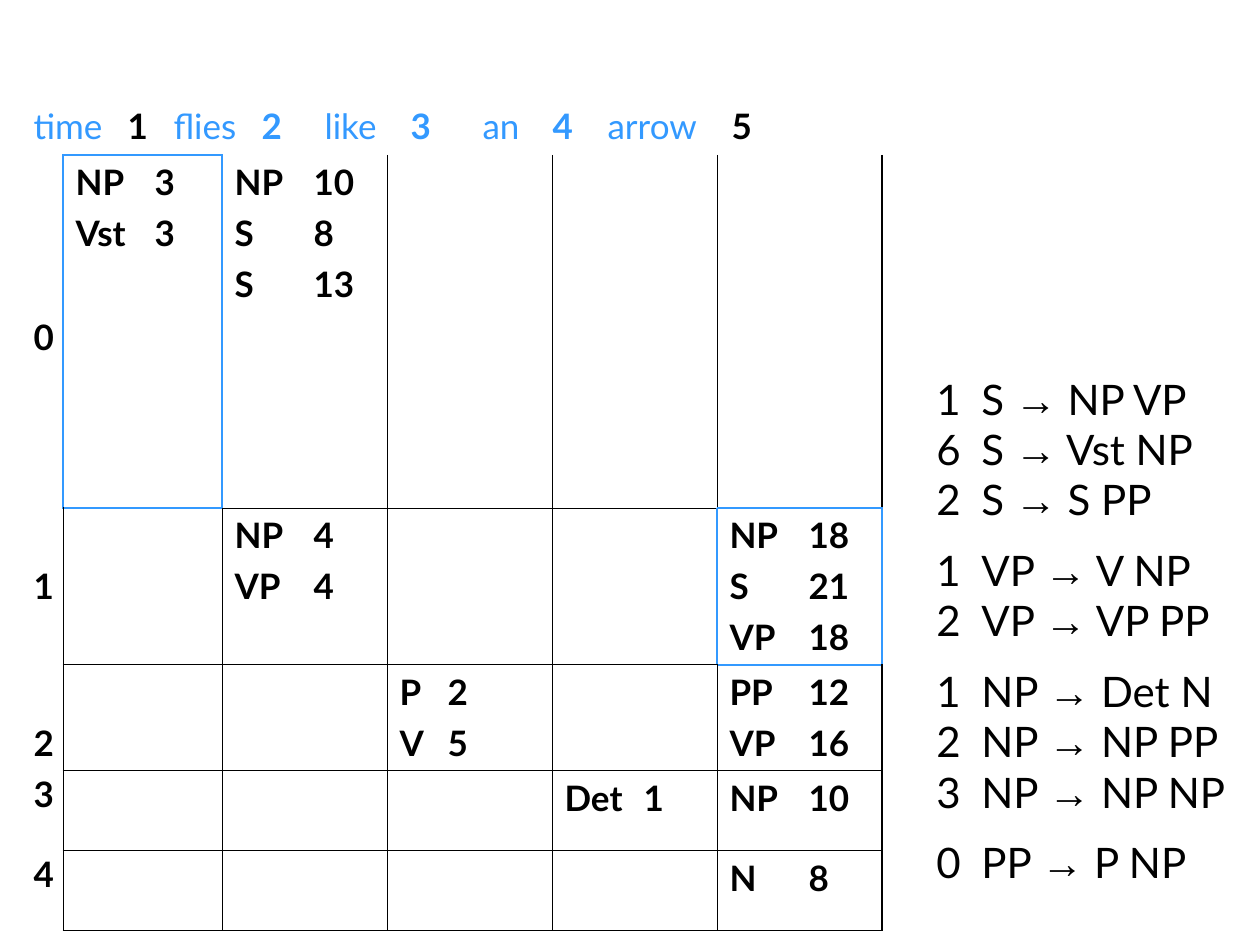
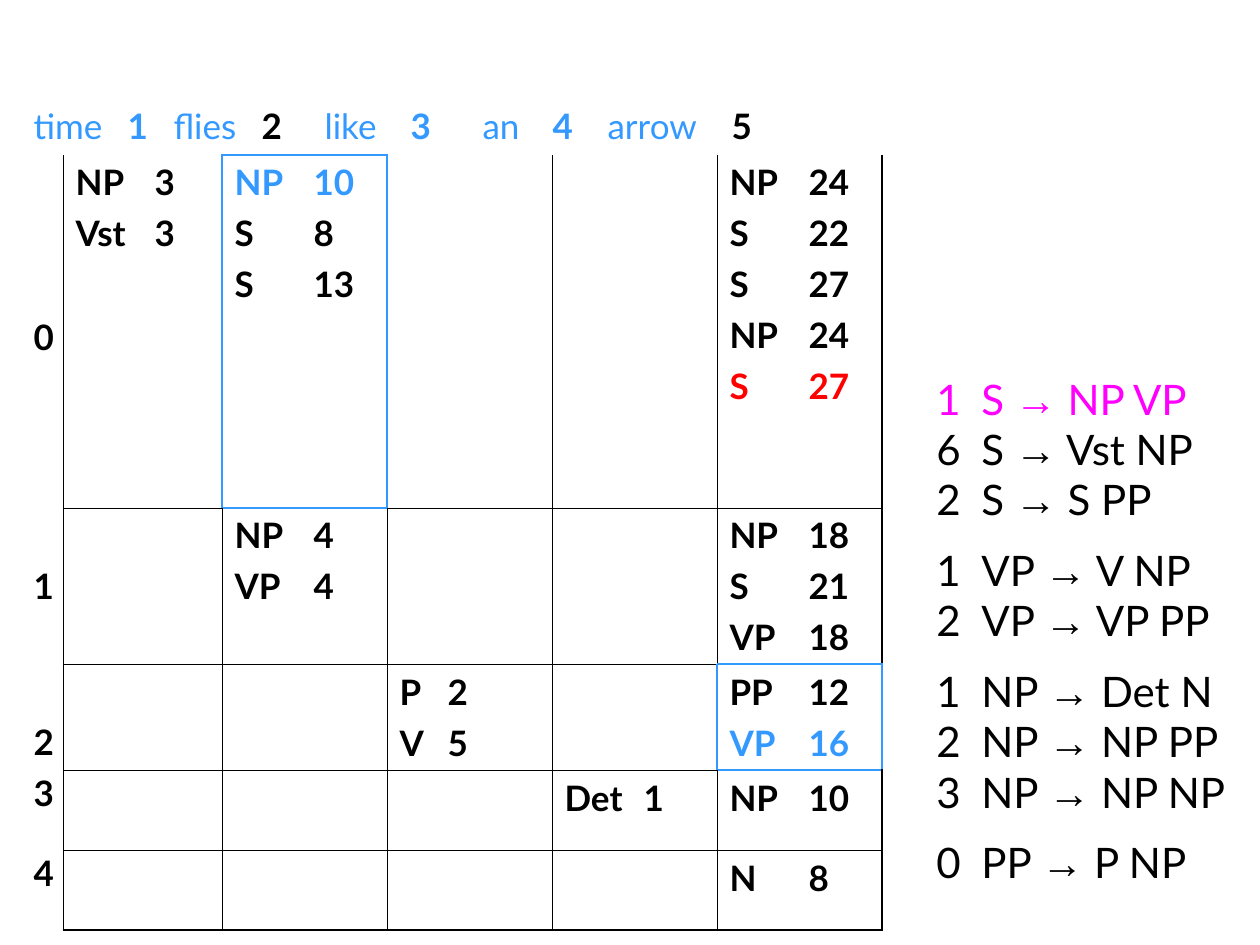
from lxml import etree
from pptx import Presentation
from pptx.dml.color import RGBColor
from pptx.enum.text import PP_ALIGN
from pptx.oxml.ns import qn
from pptx.util import Pt

CENTER = PP_ALIGN.CENTER
BLACK = RGBColor(0x00, 0x00, 0x00)
BLUE = RGBColor(0x33, 0x99, 0xFF)
RED = RGBColor(0xFF, 0x00, 0x00)
MAGENTA = RGBColor(0xFF, 0x00, 0xFF)
PX = 914400 / 126
THIN, THICK = Pt(0.45), Pt(1.08)
NO_STYLE = "{2D5ABB26-0587-4C30-8999-92F81FD0307C}"

# Shared geometry, in px
COL_WIDTHS = [42, 159] + [165] * 4
ROW_HEIGHTS = [56, 353, 156, 106, 80, 80]
WORDS = ["time", "flies", "like", "an", "arrow"]
WORD_TABS = [94, 140, 228, 291, 377, 449, 519, 574, 698]
LABEL_SPACING = [4.65, 2.2, 2.2, 0.9, 0.9]
SIDES = {"lnL": (0, -1), "lnR": (0, 1), "lnT": (-1, 0), "lnB": (1, 0)}

# Entries by (start row, end column)
CHART = {
    (1, 1): ["NP\t3", "Vst\t3"],
    (1, 2): ["NP\t10", "S\t8", "S\t13"],
    (2, 2): ["NP\t4", "VP\t4"],
    (2, 5): ["NP\t18", "S\t21", "VP\t18"],
    (3, 3): ["P\t2", "V\t5"],
    (3, 5): ["PP\t12", "VP\t16"],
    (4, 4): ["Det\t1"],
    (4, 5): ["NP\t10"],
    (5, 5): ["N\t8"],
}
RULE_GROUPS = [
    ["1\tS → NP VP", "6\tS → Vst NP", "2\tS → S PP"],
    ["1\tVP → V NP", "2\tVP → VP PP"],
    ["1\tNP → Det N", "2\tNP → NP PP", "3\tNP → NP NP"],
    ["0\tPP → P NP"],
]
SLIDES = [
    dict(marked=[(1, 1), (2, 5)], entries={}, colors={}, rule_colors={}),
    dict(marked=[(1, 2), (3, 5)],
         entries={(1, 5): ["NP\t24", "S\t22", "S\t27", "NP\t24", "S\t27"]},
         colors={(1, 2, 0): BLUE, (3, 5, 1): BLUE, (1, 5, 4): RED},
         rule_colors={"1\tS → NP VP": MAGENTA}),
]


def px(n):
    return round(n * PX)


def write(tf, runs, new=False, tabs=(), size=20, color=BLACK, bold=True,
          align=None, before=None, spacing=None):
    """Write one paragraph; runs is a text or a list of (text, overrides)."""
    p = tf.add_paragraph() if new else tf.paragraphs[0]
    if tabs:
        tab_list = etree.SubElement(p._p.get_or_add_pPr(), qn("a:tabLst"))
        for tab in tabs:
            etree.SubElement(tab_list, qn("a:tab"), pos=str(px(tab)), algn="l")
    p.alignment = align
    if new and before:
        p.space_before = Pt(before)
    if spacing:
        p.line_spacing = spacing
    for text, look in [(runs, {})] if isinstance(runs, str) else runs:
        r = p.add_run()
        r.text = text
        r.font.name = look.get("font", "Lato")
        r.font.size = Pt(size)
        r.font.bold = look.get("bold", bold)
        r.font.color.rgb = look.get("color", color)


prs = Presentation()
prs.slide_width, prs.slide_height = px(1260), px(945)

for spec_data in SLIDES:
    s = prs.slides.add_slide(prs.slide_layouts[6])
    marked = spec_data["marked"]

    # Parse chart table
    frame = s.shapes.add_table(6, 6, px(21), px(99),
                               px(sum(COL_WIDTHS)), px(sum(ROW_HEIGHTS)))
    table = frame.table
    table.first_row = table.horz_banding = False
    table._tbl.tblPr.find(qn("a:tableStyleId")).text = NO_STYLE
    for column, width in zip(table.columns, COL_WIDTHS):
        column.width = px(width)
    for row, height in zip(table.rows, ROW_HEIGHTS):
        row.height = px(height)

    # Sentence row: the end positions of marked cells are black
    table.cell(0, 0).merge(table.cell(0, 5))
    ends = [col for _, col in marked]
    runs = []
    for i, word in enumerate(WORDS, 1):
        runs.append((word + "\t", dict(color=BLUE, bold=False)))
        gap = "\t" if i < len(WORDS) else ""
        runs.append((f"{i}{gap}", dict(color=BLACK if i in ends else BLUE)))
    write(table.cell(0, 0).text_frame, runs, tabs=WORD_TABS)

    # Row labels
    for i, spacing in enumerate(LABEL_SPACING):
        write(table.cell(i + 1, 0).text_frame, str(i), align=CENTER, spacing=spacing)

    # Chart entries
    for (row, col), lines in {**CHART, **spec_data["entries"]}.items():
        for i, line in enumerate(lines):
            write(table.cell(row, col).text_frame, line, new=i > 0, before=5,
                  tabs=[48 if col == 3 else 79],
                  color=spec_data["colors"].get((row, col, i), BLACK))

    # Cell borders: marked cells blue, outer right and bottom thick
    for row in range(6):
        for col in range(6):
            cell = table.cell(row, col)
            tcPr = cell._tc.get_or_add_tcPr()
            for side, (dr, dc) in SIDES.items():
                pair = [(row, col), (row + dr, col + dc)]
                blue = any(place in marked for place in pair)
                in_grid = row > 0 and (col > 0 or side == "lnR")
                if not blue and (not in_grid or (row == 1 and side == "lnT")):
                    continue
                outer = max(pair[1]) > 5
                line = etree.SubElement(tcPr, qn("a:" + side),
                                        w=str(THICK if blue or outer else THIN))
                fill = etree.SubElement(line, qn("a:solidFill"))
                etree.SubElement(fill, qn("a:srgbClr"), val=str(BLUE if blue else BLACK))
            cell.fill.background()

    # Weighted grammar rules
    tf = s.shapes.add_textbox(px(924), px(367), px(336), px(527)).text_frame
    tf.word_wrap = True
    for g, group in enumerate(RULE_GROUPS):
        for i, rule in enumerate(group):
            left, right = rule.split("→")
            write(tf, [(left, {}), ("→", dict(font="Arial")), (right, {})],
                  new=g + i > 0, tabs=[45], size=24, bold=False,
                  spacing=1.4 if g and i == 0 else None,
                  color=spec_data["rule_colors"].get(rule, BLACK))

prs.save("out.pptx")
